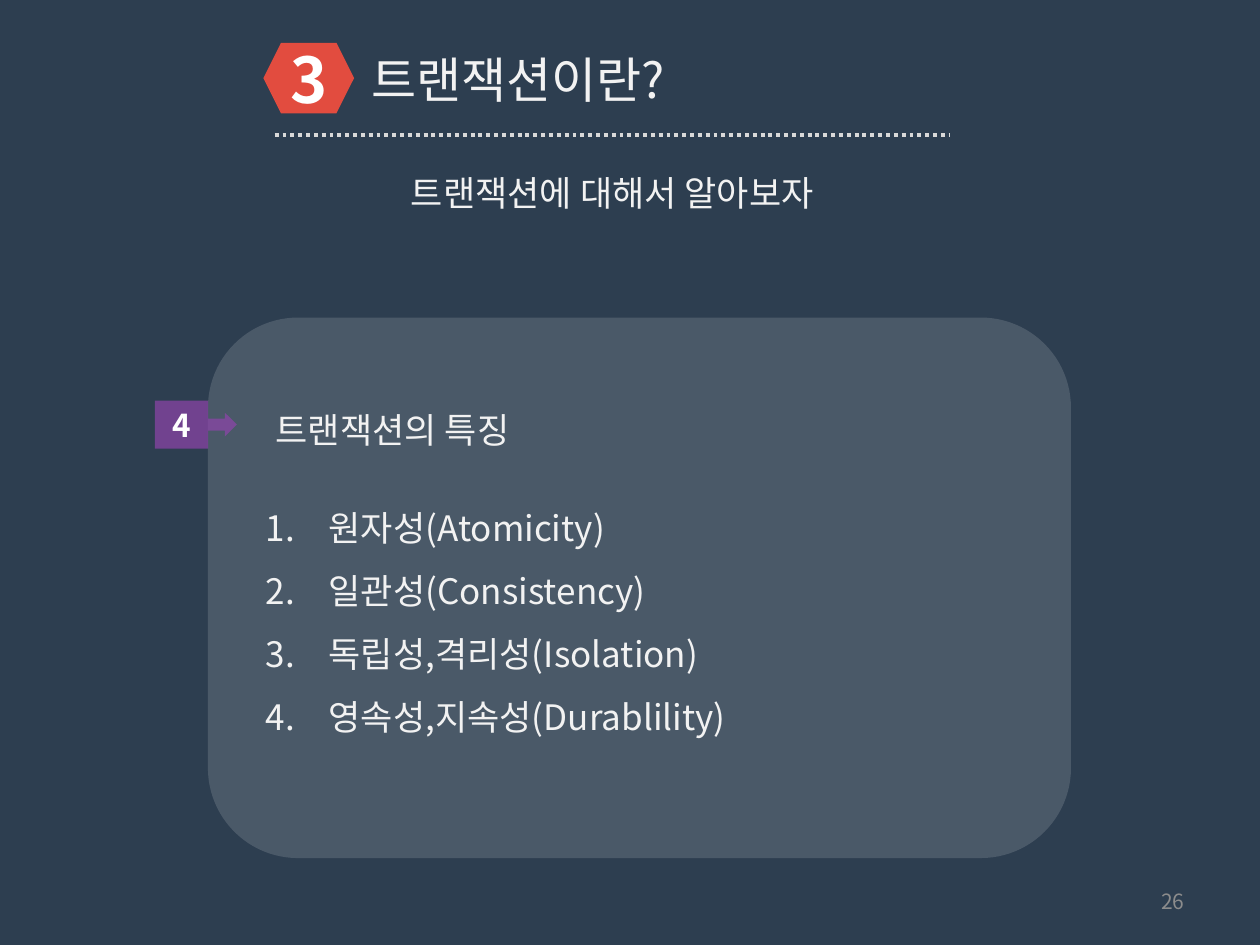
from lxml import etree
from pptx import Presentation
from pptx import util as u
from pptx.dml.color import RGBColor
from pptx.enum import dml, shapes, text
from pptx.oxml.ns import qn

COLS, ROWS = 100, 75
WIDTH, HEIGHT = u.Inches(10), u.Inches(7.5)
FONT = "Noto Sans CJK KR"
COLORS = {
    "back": "2D3E50", "white": "FFFFFF", "light": "F2F2F2", "red": "E24C3F",
    "purple": "8F44AB", "rule": "D9D9D9", "gray": "8C8C8C",
}
FEATURES = ["원자성(Atomicity)", "일관성(Consistency)",
            "독립성,격리성(Isolation)", "영속성,지속성(Durablility)"]


def rgb(name):
    """Look up a named colour."""
    return RGBColor.from_string(COLORS[name])


def grid(x, y, w, h):
    """Turn columns and rows into slide lengths."""
    return (int(x * WIDTH / COLS), int(y * HEIGHT / ROWS),
            int(w * WIDTH / COLS), int(h * HEIGHT / ROWS))


def number(p):
    """Give a paragraph a hanging automatic number."""
    pPr = p._p.get_or_add_pPr()
    pPr.set("marL", str(u.Inches(0.5)))
    pPr.set("indent", str(-u.Inches(0.5)))
    etree.SubElement(pPr, qn("a:buFont"), typeface="+mj-lt")
    etree.SubElement(pPr, qn("a:buAutoNum"), type="arabicPeriod")


def write(sp, *lines, size=20, color="light", bold=False, align="LEFT",
          anchor="TOP", spacing=None, numbered=False, margin=None, wrap=True):
    """Fill a shape with formatted paragraphs."""
    tf = sp.text_frame
    tf.word_wrap = wrap
    tf.vertical_anchor = text.MSO_ANCHOR[anchor]
    if margin is not None:
        tf.margin_left = tf.margin_right = tf.margin_top = tf.margin_bottom = margin
    for i, line in enumerate(lines):
        p = tf.add_paragraph() if i else tf.paragraphs[0]
        p.alignment = text.PP_ALIGN[align]
        if spacing:
            p.line_spacing = spacing
        if numbered:
            number(p)
        r = p.add_run()
        r.text = line
        r.font.size, r.font.bold, r.font.name = u.Pt(size), bold, FONT
        r.font.color.rgb = rgb(color)
        etree.SubElement(r._r.get_or_add_rPr(), qn("a:ea"), typeface=FONT)


def label(parent, at, *lines, **fmt):
    """Add a text box."""
    write(parent.add_textbox(*grid(*at)), *lines, **fmt)


def block(parent, kind, at, color, alpha=None):
    """Add a borderless filled shape."""
    sp = parent.add_shape(kind, *grid(*at))
    sp.shadow.inherit = False
    sp.fill.solid()
    sp.fill.fore_color.rgb = rgb(color)
    sp.line.fill.background()
    if alpha:
        clr = sp._element.spPr.find(qn("a:solidFill"))[0]
        etree.SubElement(clr, qn("a:alpha"), val=str(alpha * 1000))
    return sp


def rule(parent, x, y, w):
    """Add a dotted horizontal line."""
    x, y, w, _ = grid(x, y, w, 0)
    ln = parent.add_connector(shapes.MSO_CONNECTOR.STRAIGHT, x, y, x + w, y)
    ln.line.color.rgb = rgb("rule")
    ln.line.width = u.Pt(2.25)
    ln.line.dash_style = dml.MSO_LINE.ROUND_DOT
    etree.SubElement(ln._element.spPr, qn("a:effectLst"))


def header(parent):
    """Add the numbered title over its rule."""
    badge = block(parent, shapes.MSO_SHAPE.HEXAGON, (20.9, 3.4, 7.2, 5.6), "red")
    write(badge, "3", size=36, color="white", bold=True, align="CENTER",
          anchor="MIDDLE", margin=0, wrap=False)
    label(parent, (28.5, 3.4, 52.8, 5.7), "트랜잭션이란?", size=28)
    rule(parent, 21.8, 10.7, 53.6)


def main():
    """Build and save the slide."""
    prs = Presentation()
    prs.slide_width, prs.slide_height = WIDTH, HEIGHT
    s = prs.slides.add_slide(prs.slide_layouts[6])
    s.background.fill.solid()
    s.background.fill.fore_color.rgb = rgb("back")
    tree = s.shapes
    block(tree, shapes.MSO_SHAPE.ROUNDED_RECTANGLE, (16.5, 25.2, 68.5, 42.9), "white", 14)
    label(tree, (20.9, 30.3, 48.1, 5.5), "트랜잭션의 특징", spacing=1.5)
    label(tree, (20.1, 38.2, 64.8, 20.6), *FEATURES, spacing=1.5,
          numbered=True, anchor="MIDDLE")
    header(tree.add_group_shape().shapes)
    label(tree, (22.2, 13.1, 52.8, 4.4), "트랜잭션에 대해서 알아보자", align="CENTER")
    tag = block(tree, shapes.MSO_SHAPE.RIGHT_ARROW_CALLOUT, (12.3, 31.8, 6.5, 3.8), "purple", 70)
    write(tag, "4", size=18, color="white", bold=True, align="CENTER", anchor="MIDDLE")
    label(tree, (71.7, 69.5, 23.3, 4), "26", size=12, color="gray",
          align="RIGHT", anchor="MIDDLE")
    prs.save("out.pptx")


if __name__ == "__main__":
    main()
